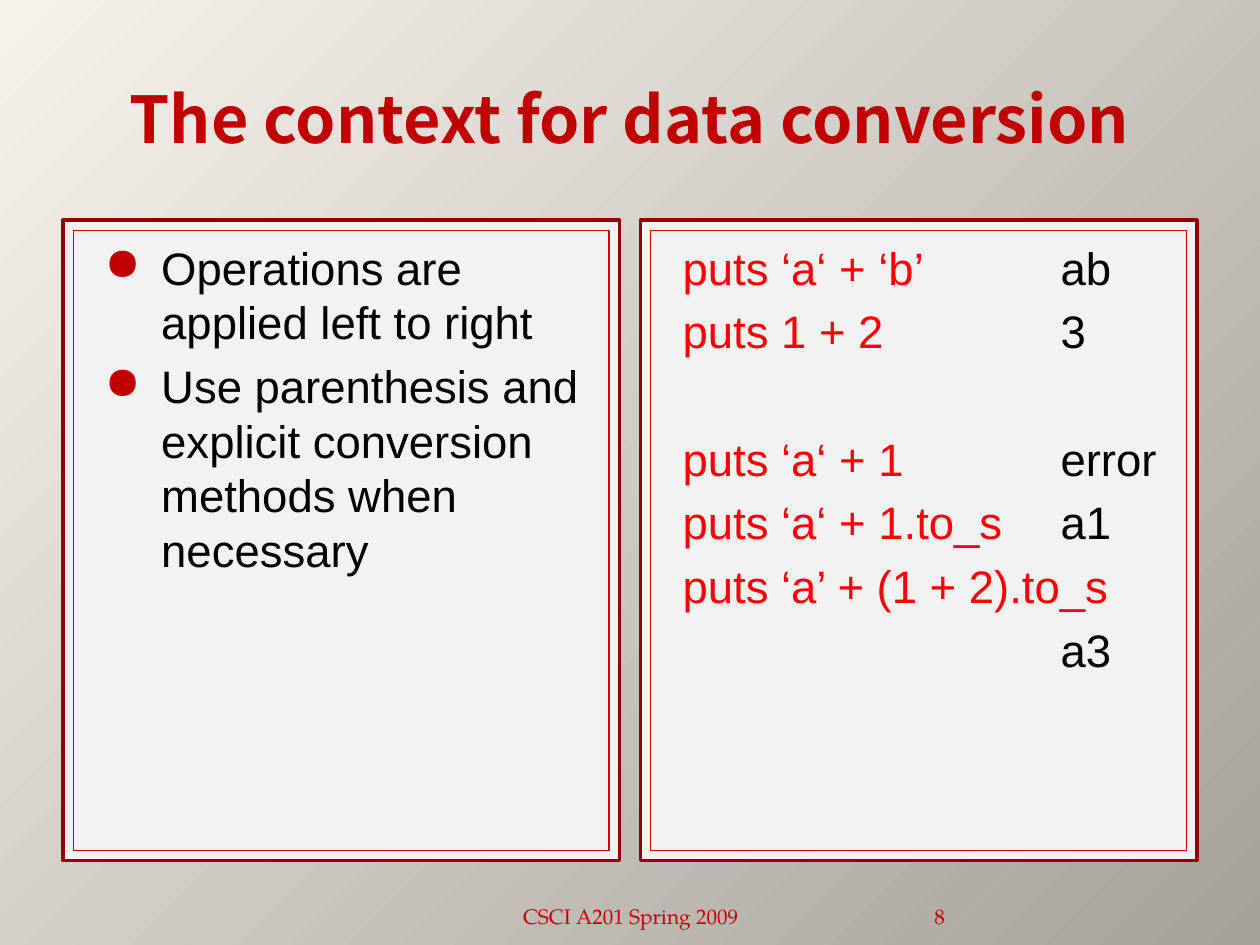
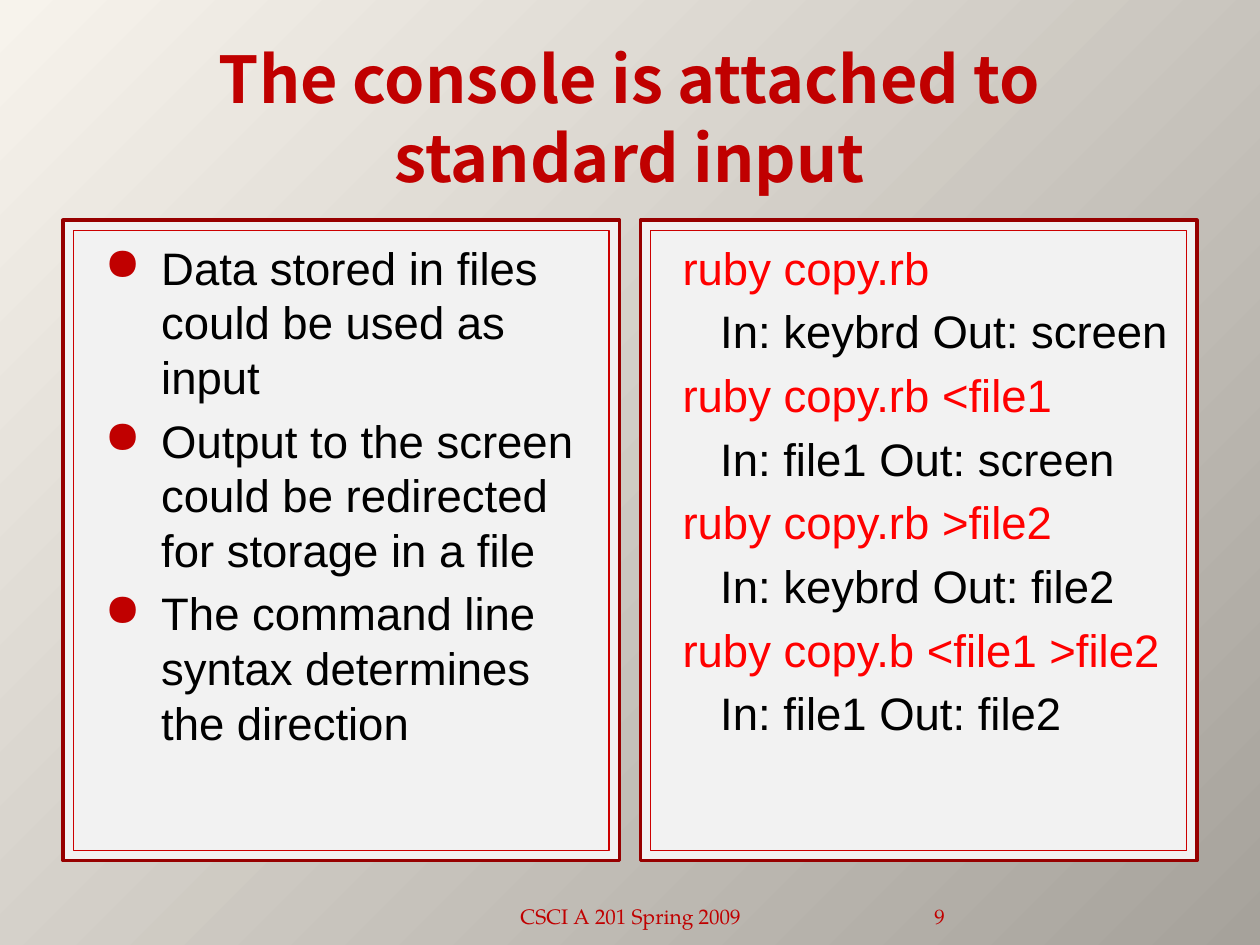
"""Build two lecture slides on data conversion and standard input."""
from dataclasses import dataclass

from lxml import etree
from pptx import Presentation, util as u
from pptx.dml.color import RGBColor
from pptx.enum import shapes, text
from pptx.oxml.ns import qn

SLIDES = [
    dict(
        title="The context for data conversion",
        points=["Operations are applied left to right",
                "Use parenthesis and explicit conversion methods when necessary"],
        code=[("puts ‘a‘ + ‘b’", "ab"), ("puts 1 + 2", "3"), None,
              ("puts ‘a‘ + 1", "error"), ("puts ‘a‘ + 1.to_s", "a1"),
              ("puts ‘a’ + (1 + 2).to_s", ""), ("", "a3")],
        footer="CSCI A201 Spring 2009",
        number=8,
    ),
    dict(
        title="The console is attached to standard input",
        points=["Data stored in files could be used as input",
                "Output to the screen could be redirected for storage in a file",
                "The command line syntax determines the direction"],
        code=["ruby copy.rb", ("In: keybrd Out: screen",),
              "ruby copy.rb <file1", ("In: file1 Out: screen",),
              "ruby copy.rb >file2", ("In: keybrd Out: file2",),
              "ruby copy.b <file1 >file2", ("In: file1 Out: file2",)],
        footer="CSCI A 201 Spring 2009",
        number=9,
    ),
]


@dataclass(frozen=True)
class Theme:
    light: str = "F7F3EC"
    dark: str = "A6A29B"
    panel: str = "F2F2F2"
    outer: str = "970000"
    inner: str = "CC0000"
    accent: str = "C00000"
    code: str = "FF0000"
    body: str = "000000"
    title_font: str = "Noto Sans CJK SC"
    body_font: str = "Arial"
    footer_font: str = "TeX Gyre Pagella"
    title_size: float = 36.9
    title_line: float = 45
    body_size: float = 26
    body_line: float = 31.2
    gap: float = 5.2
    footer_size: float = 12


T = Theme()
WIDTH, HEIGHT = u.Cm(25.4), u.Cm(19.05)
PANEL_TOP, PANEL_W, PANEL_H = u.Cm(4.44), u.Cm(11.22), u.Cm(12.91)
MARGIN, BORDER = u.Cm(1.27), u.Cm(0.21)
PANEL_LEFTS = (MARGIN, WIDTH - MARGIN - PANEL_W)
BULLET_LEFT, BULLET_HANG = u.Cm(1.52), u.Cm(1.14)
CODE_INSET, RESULT_TAB, IO_INDENT = u.Cm(0.64), u.Cm(7.62), u.Cm(0.76)


def rgb(value):
    return RGBColor.from_string(value)


def add_run(p, words, font, size, color, bold=False):
    r = p.add_run()
    r.text = words
    r.font.name, r.font.size, r.font.bold = font, u.Pt(size), bold
    r.font.color.rgb = rgb(color)


def add_label(s, box, words, font, size, align, anchor, bold=False, side=None):
    tf = s.shapes.add_textbox(*box).text_frame
    tf.word_wrap, tf.vertical_anchor = True, anchor
    if side is not None:
        tf.margin_left = tf.margin_right = side
    p = tf.paragraphs[0]
    p.alignment = align
    add_run(p, words, font, size, T.accent, bold)
    return p


def add_rect(s, box, line, weight):
    sp = s.shapes.add_shape(shapes.MSO_SHAPE.RECTANGLE, *box)
    sp.shadow.inherit = False
    sp.fill.solid()
    sp.fill.fore_color.rgb = rgb(T.panel)
    sp.line.color.rgb, sp.line.width = rgb(line), u.Pt(weight)
    return sp


def add_panel(s, left):
    add_rect(s, (left, PANEL_TOP, PANEL_W, PANEL_H), T.outer, 2)
    sp = add_rect(s, (left + BORDER, PANEL_TOP + BORDER,
                      PANEL_W - 2 * BORDER, PANEL_H - 2 * BORDER), T.inner, 0.75)
    tf = sp.text_frame
    tf.word_wrap, tf.vertical_anchor = True, text.MSO_ANCHOR.TOP
    tf.margin_top = u.Cm(0.18)
    return tf


def add_line(tf, first, skipped=False):
    p = tf.paragraphs[0] if first else tf.add_paragraph()
    p.alignment = text.PP_ALIGN.LEFT
    p.line_spacing = u.Pt(T.body_line)
    blank = T.body_line + T.gap if skipped else 0
    p.space_before = u.Pt(0 if first else T.gap + blank)
    return p


def add_points(tf, points):
    for i, words in enumerate(points):
        p = add_line(tf, i == 0)
        pPr = p._p.get_or_add_pPr()
        pPr.set("marL", str(BULLET_LEFT))
        pPr.set("indent", str(-BULLET_HANG))
        color = etree.SubElement(pPr, qn("a:buClr"))
        etree.SubElement(color, qn("a:srgbClr"), val=T.accent)
        etree.SubElement(pPr, qn("a:buChar"), char="●")
        add_run(p, words, T.body_font, T.body_size, T.body)


def add_code(tf, lines):
    tf.margin_left = CODE_INSET
    skipped = False
    for i, line in enumerate(lines):
        if line is None:
            skipped = True
            continue
        p = add_line(tf, i == 0, skipped)
        skipped = False
        pPr = p._p.get_or_add_pPr()
        if isinstance(line, str):
            line = (line, "")
        if len(line) == 1:
            pPr.set("marL", str(IO_INDENT))
            add_run(p, line[0], T.body_font, T.body_size, T.body)
            continue
        command, result = line
        if command:
            add_run(p, command, T.body_font, T.body_size, T.code)
        if result:
            tabs = etree.SubElement(pPr, qn("a:tabLst"))
            etree.SubElement(tabs, qn("a:tab"), pos=str(RESULT_TAB), algn="l")
            add_run(p, "\t" + result, T.body_font, T.body_size, T.body)


def paint_background(s):
    fill = s.background.fill
    fill.gradient()
    fill.gradient_angle = 315
    for stop, color in zip(fill.gradient_stops, (T.light, T.dark)):
        stop.color.rgb = rgb(color)


def build_slide(prs, title, points, code, footer, number):
    s = prs.slides.add_slide(prs.slide_layouts[6])
    paint_background(s)
    center, right = text.PP_ALIGN.CENTER, text.PP_ALIGN.RIGHT
    middle, bottom = text.MSO_ANCHOR.MIDDLE, text.MSO_ANCHOR.BOTTOM
    p = add_label(s, (MARGIN, u.Cm(0.76), WIDTH - 2 * MARGIN, u.Cm(3.18)), title,
                  T.title_font, T.title_size, center, middle, bold=True)
    p.line_spacing = u.Pt(T.title_line)
    left_tf, right_tf = [add_panel(s, left) for left in PANEL_LEFTS]
    add_points(left_tf, points)
    add_code(right_tf, code)
    top, height = u.Cm(17.83), u.Cm(1.02)
    add_label(s, (u.Cm(8.69), top, u.Cm(8.05), height), footer,
              T.footer_font, T.footer_size, center, bottom)
    add_label(s, (u.Cm(16.94), top, u.Cm(2.11), height), str(number),
              T.footer_font, T.footer_size, right, bottom, side=0)


def main():
    prs = Presentation()
    prs.slide_width, prs.slide_height = WIDTH, HEIGHT
    for content in SLIDES:
        build_slide(prs, **content)
    prs.save("out.pptx")


if __name__ == "__main__":
    main()
